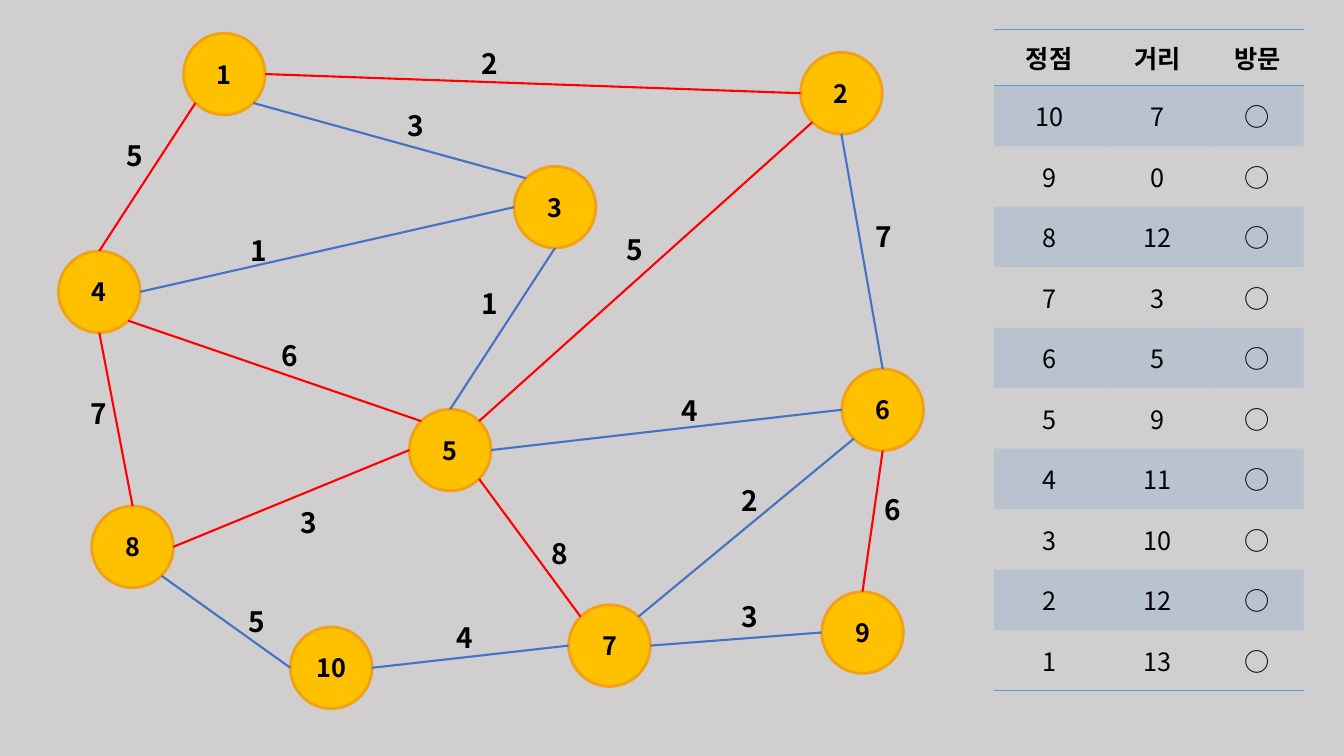
"""Weighted graph with a table of vertices and distances."""
from math import cos, radians, sin

from lxml import etree
from pptx import Presentation
from pptx import util as u
from pptx.dml.color import RGBColor
from pptx.enum import shapes, text
from pptx.oxml import ns

INK = {"back": "D0CECE", "node": "FFC000", "rim": "F1A116", "red": "FF0000",
       "blue": "4472C4", "band": "5B9BD5", "text": "000000"}
FONT = "Noto Sans CJK KR"
SIZE = 0.81
PLAIN = "{2D5ABB26-0587-4C30-8999-92F81FD0307C}"

# Vertex: left and top corner.
NODES = {1: (1.82, 0.33), 2: (7.94, 0.52), 3: (5.1, 1.65), 4: (0.58, 2.49),
         5: (4.06, 4.06), 6: (8.35, 3.66), 7: (5.64, 6), 8: (0.91, 5.02),
         9: (8.15, 5.87), 10: (2.88, 6.22)}

# Start vertex and side, end vertex and side, colour, weight, label corner.
EDGES = [
    (4, "N", 1, "SW", "red", 5, (1.16, 1.32)),
    (3, "NW", 1, "SE", "blue", 3, (3.94, 1.03)),
    (2, "W", 1, "E", "red", 2, (4.68, 0.41)),
    (2, "S", 6, "N", "blue", 7, (8.59, 2.13)),
    (2, "SW", 5, "NE", "red", 5, (6.12, 2.26)),
    (3, "S", 5, "N", "blue", 1, (4.68, 2.79)),
    (3, "W", 4, "E", "blue", 1, (2.39, 2.27)),
    (4, "S", 8, "N", "red", 7, (0.8, 3.88)),
    (5, "W", 8, "E", "red", 3, (2.88, 4.97)),
    (5, "NW", 4, "SE", "red", 6, (2.69, 3.31)),
    (5, "SE", 7, "NW", "red", 8, (5.37, 5.27)),
    (6, "W", 5, "E", "blue", 4, (6.66, 3.85)),
    (9, "N", 6, "S", "red", 6, (8.67, 4.84)),
    (6, "SW", 7, "NE", "blue", 2, (7.26, 4.75)),
    (10, "E", 7, "W", "blue", 4, (4.43, 6.11)),
    (10, "W", 8, "SE", "blue", 5, (2.37, 5.95)),
    (9, "W", 7, "E", "blue", 3, (7.26, 5.9)),
]
SIDES = ["E", "SE", "S", "SW", "W", "NW", "N", "NE"]
HEAD = ["정점", "거리", "방문"]
COSTS = {10: 7, 9: 0, 8: 12, 7: 3, 6: 5, 5: 9, 4: 11, 3: 10, 2: 12, 1: 13}


def rgb(name):
    """Return the named colour."""
    return RGBColor.from_string(INK[name])


def spot(node, side):
    """Return the point on the rim of a vertex at a compass side."""
    left, top = NODES[node]
    turn = radians(45 * SIDES.index(side))
    half = SIZE / 2
    return left + half + half * cos(turn), top + half + half * sin(turn)


class Board:
    """Holds the style and the current slide."""

    def __init__(self, deck):
        """Add a blank slide with a plain background."""
        self.slide = deck.slides.add_slide(deck.slide_layouts[6])
        self.items = self.slide.shapes
        fill = self.slide.background.fill
        fill.solid()
        fill.fore_color.rgb = rgb("back")

    def letter(self, frame, words, size, bold=True,
               align=text.PP_ALIGN.CENTER):
        """Put one styled line into a text frame."""
        frame.text = str(words)
        para = frame.paragraphs[0]
        para.alignment = align
        font = para.runs[0].font
        font.name, font.size, font.bold = FONT, u.Pt(size), bold
        font.color.rgb = rgb("text")

    def node(self, name, left, top):
        """Draw a numbered vertex."""
        disc = self.items.add_shape(
            shapes.MSO_SHAPE.OVAL, *map(u.Inches, (left, top, SIZE, SIZE)))
        disc.shadow.inherit = False
        disc.fill.solid()
        disc.fill.fore_color.rgb = rgb("node")
        disc.line.color.rgb = rgb("rim")
        disc.line.width = u.Pt(2)
        disc.text_frame.vertical_anchor = text.MSO_ANCHOR.MIDDLE
        self.letter(disc.text_frame, name, 18)

    def edge(self, start, end, ink):
        """Draw a straight line between two points."""
        line = self.items.add_connector(
            shapes.MSO_CONNECTOR.STRAIGHT, *map(u.Inches, start + end))
        line.line.color.rgb = rgb(ink)
        line.line.width = u.Pt(1.5)
        props = line.element.find(ns.qn("p:spPr"))
        etree.SubElement(props, ns.qn("a:effectLst"))

    def label(self, words, left, top):
        """Add the weight of an edge."""
        box = self.items.add_textbox(
            *map(u.Inches, (left, top, 0.36, 0.44)))
        frame = box.text_frame
        frame.word_wrap = False
        frame.auto_size = text.MSO_AUTO_SIZE.SHAPE_TO_FIT_TEXT
        self.letter(frame, words, 20, align=text.PP_ALIGN.LEFT)

    def border(self, tag, side):
        """Give a cell a rule at its top (T) or bottom (B)."""
        line = etree.SubElement(tag, ns.qn("a:ln" + side), w=str(u.Pt(1)))
        fill = etree.SubElement(line, ns.qn("a:solidFill"))
        etree.SubElement(fill, ns.qn("a:srgbClr"), val=INK["band"])

    def table(self, rows, left, top, wide, high):
        """Draw a table with ruled ends and pale bands."""
        box = self.items.add_table(
            len(rows), len(wide),
            *map(u.Inches, (left, top, sum(wide), sum(high))))
        next(box.element.iter(ns.qn("a:tableStyleId"))).text = PLAIN
        grid = box.table
        for col, size in zip(grid.columns, wide):
            col.width = u.Inches(size)
        for row, size in zip(grid.rows, high):
            row.height = u.Inches(size)
        tags = box.element.iter(ns.qn("a:tc"))
        last = len(rows) - 1
        for pos, row in enumerate(rows):
            for col, words in enumerate(row):
                cell = grid.cell(pos, col)
                cell.vertical_anchor = text.MSO_ANCHOR.MIDDLE
                self.letter(cell.text_frame, words, 18, bold=pos == 0)
                tag = next(tags).find(ns.qn("a:tcPr"))
                for side in {0: "TB", last: "B"}.get(pos, ""):
                    self.border(tag, side)
                if pos % 2 == 0:
                    cell.fill.background()
                    continue
                cell.fill.solid()
                cell.fill.fore_color.rgb = rgb("band")
                tint = next(tag.iter(ns.qn("a:srgbClr")))
                etree.SubElement(tint, ns.qn("a:alpha"), val="20000")


def main():
    """Build the slide and save it."""
    deck = Presentation()
    deck.slide_width, deck.slide_height = u.Inches(13.33), u.Inches(7.5)
    board = Board(deck)
    for name, corner in NODES.items():
        board.node(name, *corner)
    for first, out, other, into, ink, cost, corner in EDGES:
        board.edge(spot(first, out), spot(other, into), ink)
        board.label(cost, *corner)
    rows = [HEAD] + [[name, cost, "○"] for name, cost in COSTS.items()]
    board.table(rows, 9.86, 0.29, [1.09, 1.06, 0.92],
                [0.56] + [0.6] * len(COSTS))
    deck.save("out.pptx")


main()
